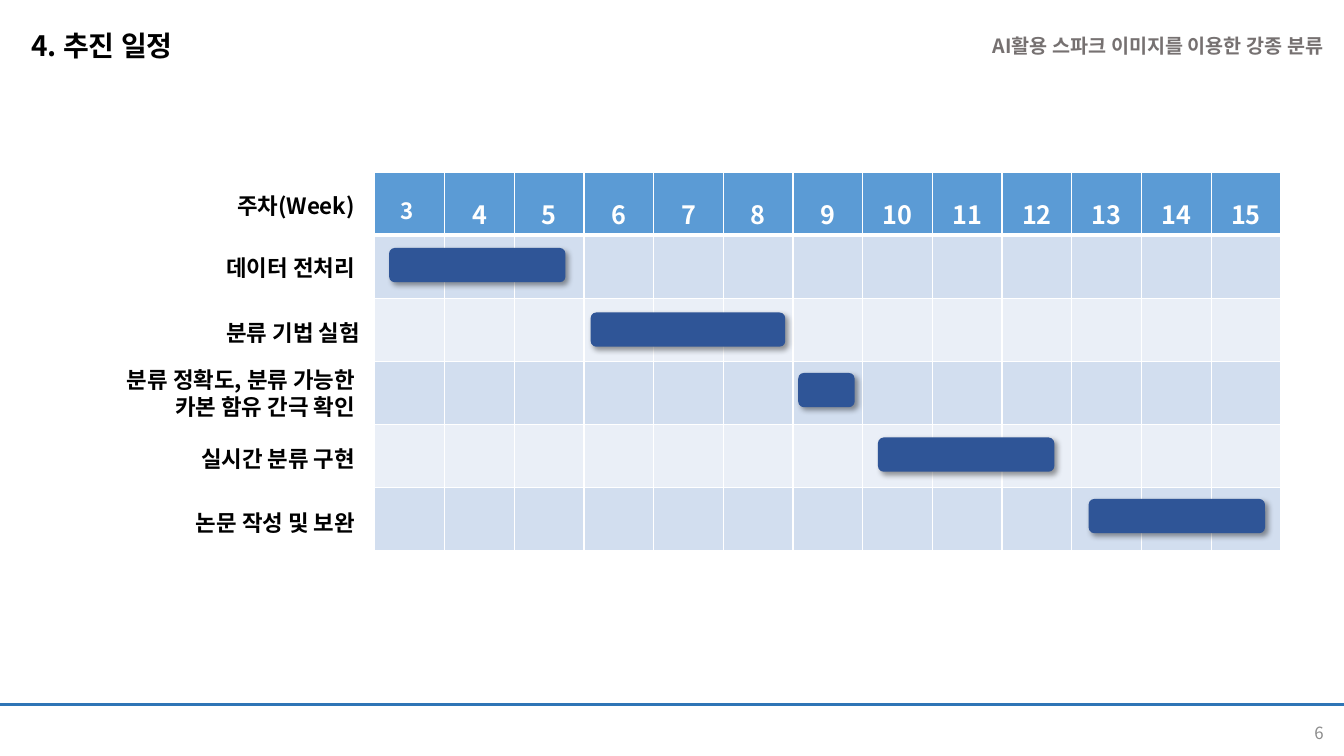
import pptx
import pptx.util
import pptx.dml.color
import pptx.enum.shapes
import pptx.enum.text
import pptx.oxml
import pptx.oxml.ns

Pt = pptx.util.Pt
ALIGN = pptx.enum.text.PP_ALIGN
ANCHOR = pptx.enum.text.MSO_ANCHOR
SHAPE = pptx.enum.shapes.MSO_SHAPE
LINK = pptx.enum.shapes.MSO_CONNECTOR
NS = pptx.oxml.ns.nsdecls("a")
FACE = "Noto Sans CJK KR"

HUE = {
    "ink": "000000", "white": "FFFFFF", "grey": "767171", "page": "8C8C8C",
    "rule": "2E75B6", "head": "5B9BD5", "odd": "D2DEEF", "even": "EAEFF7",
    "bar": "2F5597",
}

WEEKS = range(3, 16)

# text, left, top, width, height
LABELS = [
    ("주차(Week)", 134.6, 133.9, 126, 26.6),
    ("데이터 전처리", -20.2, 177.8, 280.8, 26.6),
    ("분류 기법 실험", -16.6, 224.6, 280.8, 26.6),
    ("분류 정확도, 분류 가능한 카본 함유 간극 확인", 57.6, 257.8, 203, 46),
    ("실시간 분류 구현", 100.1, 314.6, 160.6, 26.6),
    ("논문 작성 및 보완", 100.1, 360, 160.6, 26.6),
]

# left, top, width
BARS = [
    (277.9, 177.1, 126),
    (421.9, 223.2, 139),
    (570.2, 266.4, 40.3),
    (627.1, 312.5, 126),
    (777.6, 356.4, 126),
]


def color(name):
    return pptx.dml.color.RGBColor.from_string(HUE[name])


def paint(fill, name):
    fill.solid()
    fill.fore_color.rgb = color(name)


def write(frame, text, size, hue, align, bold=True):
    """Put one formatted run in the frame and return its paragraph."""
    para = frame.paragraphs[0]
    para.alignment = align
    run = para.add_run()
    run.text = text
    style = {"name": FACE, "size": Pt(size), "bold": bold}
    for key, value in style.items():
        setattr(run.font, key, value)
    run.font.color.rgb = color(hue)
    east = pptx.oxml.parse_xml(f'<a:ea {NS} typeface="{FACE}"/>')
    run.font._element.append(east)
    return para


def label(slide, text, place, size=16, hue="ink", align=ALIGN.RIGHT,
          bold=True, anchor=ANCHOR.TOP):
    frame = slide.shapes.add_textbox(*map(Pt, place)).text_frame
    frame.word_wrap = True
    frame.vertical_anchor = anchor
    write(frame, text, size, hue, align, bold)


def rule(slide, top):
    line = slide.shapes.add_connector(
        LINK.STRAIGHT, 0, Pt(top), Pt(960), Pt(top))
    line.line.color.rgb = color("rule")
    line.line.width = Pt(2.25)
    line._element.spPr.append(pptx.oxml.parse_xml(f"<a:effectLst {NS}/>"))


def border(cell, row):
    """Draw white cell edges, thick between the header and the body."""
    wide = {"L": 1, "R": 1, "T": 3 if row == 1 else 1, "B": 1 if row else 3}
    props = cell._tc.get_or_add_tcPr()
    for side, width in wide.items():
        props.append(pptx.oxml.parse_xml(
            f'<a:ln{side} {NS} w="{Pt(width)}"><a:solidFill>'
            f'<a:srgbClr val="{HUE["white"]}"/></a:solidFill></a:ln{side}>'))


def grid(slide):
    rows, cols = len(LABELS), len(WEEKS)
    table = slide.shapes.add_table(
        rows, cols, Pt(267.8), Pt(123.1), Pt(cols * 49.8), Pt(rows * 45)).table
    for row in range(rows):
        hue = "head" if row == 0 else "odd" if row % 2 else "even"
        for col in range(cols):
            cell = table.cell(row, col)
            border(cell, row)
            paint(cell.fill, hue)
    for col, week in enumerate(WEEKS):
        text, size = (f"{week} ", 16) if col == 0 else (str(week), 18)
        para = write(table.cell(0, col).text_frame, text, size, "white",
                     ALIGN.CENTER)
        para.line_spacing = 1.5


def bar(slide, left, top, width):
    shape = slide.shapes.add_shape(
        SHAPE.ROUNDED_RECTANGLE, Pt(left), Pt(top), Pt(width), Pt(24.5))
    paint(shape.fill, "bar")
    shape.line.fill.background()
    shape.shadow.inherit = False
    effects = shape._element.spPr.find(pptx.oxml.ns.qn("a:effectLst"))
    effects.append(pptx.oxml.parse_xml(
        f'<a:outerShdw {NS} blurRad="{Pt(4)}" dist="{Pt(3)}" dir="2700000" '
        f'algn="tl" rotWithShape="0"><a:srgbClr val="{HUE["ink"]}">'
        '<a:alpha val="40000"/></a:srgbClr></a:outerShdw>'))


def main():
    deck = pptx.Presentation()
    deck.slide_width, deck.slide_height = Pt(960), Pt(540)
    slide = deck.slides.add_slide(deck.slide_layouts[6])
    label(slide, "6", (920.2, 509, 32.4, 28.8), 12, "page", bold=False,
          anchor=ANCHOR.MIDDLE)
    rule(slide, 503.3)
    label(slide, "4. 추진 일정", (15.1, 16.6, 287.3, 31.7), 20,
          align=ALIGN.LEFT)
    label(slide, "AI활용 스파크 이미지를 이용한 강종 분류",
          (617, 20.9, 335.5, 24.5), 14, "grey")
    grid(slide)
    for text, *place in LABELS:
        label(slide, text, place)
    for place in BARS:
        bar(slide, *place)
    deck.save("out.pptx")


if __name__ == "__main__":
    main()
